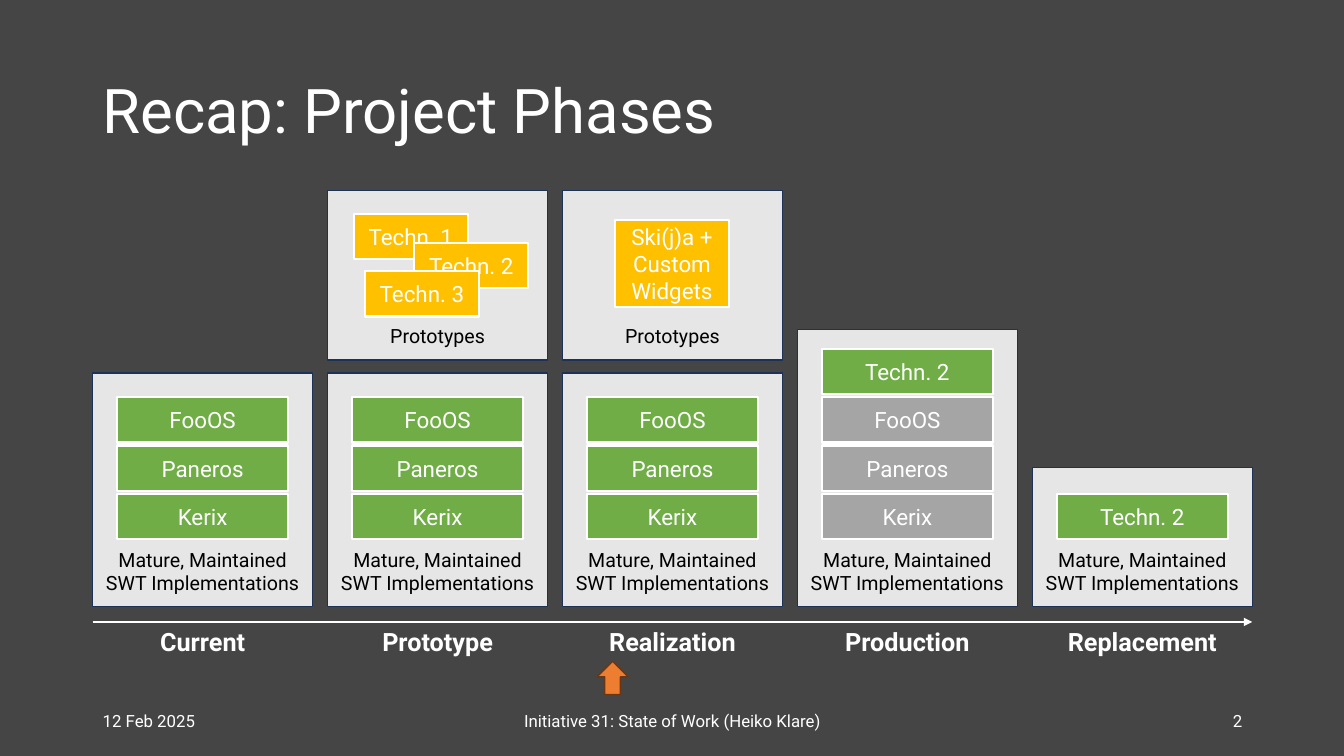
import pptx
import pptx.util
import pptx.dml.color
import pptx.enum.shapes
import pptx.enum.text
import pptx.oxml.ns
import lxml.etree

Inches = pptx.util.Inches
Pt = pptx.util.Pt
RGBColor = pptx.dml.color.RGBColor
MSO_SHAPE = pptx.enum.shapes.MSO_SHAPE
ALIGN = pptx.enum.text.PP_ALIGN
ANCHOR = pptx.enum.text.MSO_ANCHOR

BACKGROUND = RGBColor(0x45, 0x45, 0x45)
WHITE = RGBColor(0xFF, 0xFF, 0xFF)
BLACK = RGBColor(0x00, 0x00, 0x00)
PANEL = RGBColor(0xE7, 0xE6, 0xE6)
PANEL_LINE = RGBColor(0x1E, 0x32, 0x56)
GREEN = RGBColor(0x70, 0xAD, 0x47)
GRAY = RGBColor(0xA5, 0xA5, 0xA5)
YELLOW = RGBColor(0xFF, 0xC0, 0x00)
ORANGE = RGBColor(0xED, 0x7D, 0x31)
BROWN = RGBColor(0x68, 0x37, 0x15)

presentation = pptx.Presentation()
presentation.slide_width = Inches(13.33)
presentation.slide_height = Inches(7.5)
slide = presentation.slides.add_slide(presentation.slide_layouts[6])
slide.background.fill.solid()
slide.background.fill.fore_color.rgb = BACKGROUND


def add_text(text, left, top, width, height, size=16, color=WHITE, bold=False,
             align=ALIGN.CENTER, anchor=ANCHOR.MIDDLE, bottom=0.05,
             spacing=1.0, fill=None, line=WHITE, line_width=1.5):
    """Add text in a filled rectangle, or in a plain text box without a fill."""
    bounds = [Inches(length) for length in (left, top, width, height)]
    if fill is None:
        shape = slide.shapes.add_textbox(*bounds)
    else:
        shape = slide.shapes.add_shape(MSO_SHAPE.RECTANGLE, *bounds)
        shape.shadow.inherit = False
        shape.fill.solid()
        shape.fill.fore_color.rgb = fill
        shape.line.color.rgb = line
        shape.line.width = Pt(line_width)
    frame = shape.text_frame
    frame.word_wrap = True
    frame.vertical_anchor = anchor
    frame.margin_bottom = Inches(bottom)
    paragraph = frame.paragraphs[0]
    paragraph.text = text
    paragraph.alignment = align
    paragraph.line_spacing = spacing
    for run in paragraph.runs:
        run.font.name = "Roboto"
        run.font.size = Pt(size)
        run.font.bold = bold
        run.font.color.rgb = color


# Title and footer
add_text("Recap: Project Phases", 0.92, 0.4, 11.5, 1.45, size=44,
         align=ALIGN.LEFT, spacing=0.9)
for text, left, width, align in [
    ("12 Feb 2025", 0.92, 3, ALIGN.LEFT),
    ("Initiative 31: State of Work (Heiko Klare)", 4.42, 4.5, ALIGN.CENTER),
    ("2", 9.42, 3, ALIGN.RIGHT),
]:
    add_text(text, left, 6.95, width, 0.4, size=12, align=align)

# Phase columns: name, panel height, bars from bottom to top
COLUMN_LEFT, COLUMN_PITCH, COLUMN_WIDTH = 0.92, 2.33, 2.18
PANEL_BOTTOM = 6.02
BAR_TOP, BAR_PITCH, BAR_HEIGHT = 4.9, 0.48, 0.45
panel_format = dict(size=14, color=BLACK, anchor=ANCHOR.BOTTOM, bottom=0.12,
                    fill=PANEL, line=PANEL_LINE, line_width=1)
platforms = ["Kerix", "Paneros", "FooOS"]
mature = [(platform, GREEN) for platform in platforms]
retired = [(platform, GRAY) for platform in platforms]
successor = [("Techn. 2", GREEN)]
phases = [
    ("Current", 2.32, mature),
    ("Prototype", 2.32, mature),
    ("Realization", 2.32, mature),
    ("Production", 2.75, retired + successor),
    ("Replacement", 1.38, successor),
]
for column, (phase, height, bars) in enumerate(phases):
    left = COLUMN_LEFT + column * COLUMN_PITCH
    add_text("Mature, Maintained\nSWT Implementations", left,
             PANEL_BOTTOM - height, COLUMN_WIDTH, height, **panel_format)
    for row, (name, color) in enumerate(bars):
        add_text(name, left + 0.24, BAR_TOP - row * BAR_PITCH, 1.7, BAR_HEIGHT,
                 fill=color)
    add_text(phase, left, 6.16, COLUMN_WIDTH, 0.4, size=18, bold=True,
             anchor=ANCHOR.TOP)

# Prototype panels above the second and third columns
for column in (1, 2):
    add_text("Prototypes", COLUMN_LEFT + column * COLUMN_PITCH, 1.89,
             COLUMN_WIDTH, 1.68, **panel_format)
for text, left, top, height in [
    ("Techn. 1", 3.51, 2.12, BAR_HEIGHT),
    ("Techn. 2", 4.11, 2.41, BAR_HEIGHT),
    ("Techn. 3", 3.62, 2.69, BAR_HEIGHT),
    ("Ski(j)a + Custom Widgets", 6.1, 2.18, 0.87),
]:
    add_text(text, left, top, 1.13, height, fill=YELLOW)

# Timeline
timeline = slide.shapes.add_connector(
    pptx.enum.shapes.MSO_CONNECTOR.STRAIGHT,
    Inches(0.92), Inches(6.17), Inches(12.42), Inches(6.17))
timeline.line.color.rgb = WHITE
timeline.line.width = Pt(1.5)
qn = pptx.oxml.ns.qn
lxml.etree.SubElement(timeline.line._get_or_add_ln(), qn("a:tailEnd"), type="triangle")
lxml.etree.SubElement(timeline._element.spPr, qn("a:effectLst"))

# Marker of the present position
marker = slide.shapes.add_shape(MSO_SHAPE.DOWN_ARROW, Inches(5.92), Inches(6.56),
                                Inches(0.31), Inches(0.33))
marker.rotation = 180
marker.shadow.inherit = False
marker.fill.solid()
marker.fill.fore_color.rgb = ORANGE
marker.line.color.rgb = BROWN
marker.line.width = Pt(1)

presentation.save("out.pptx")
